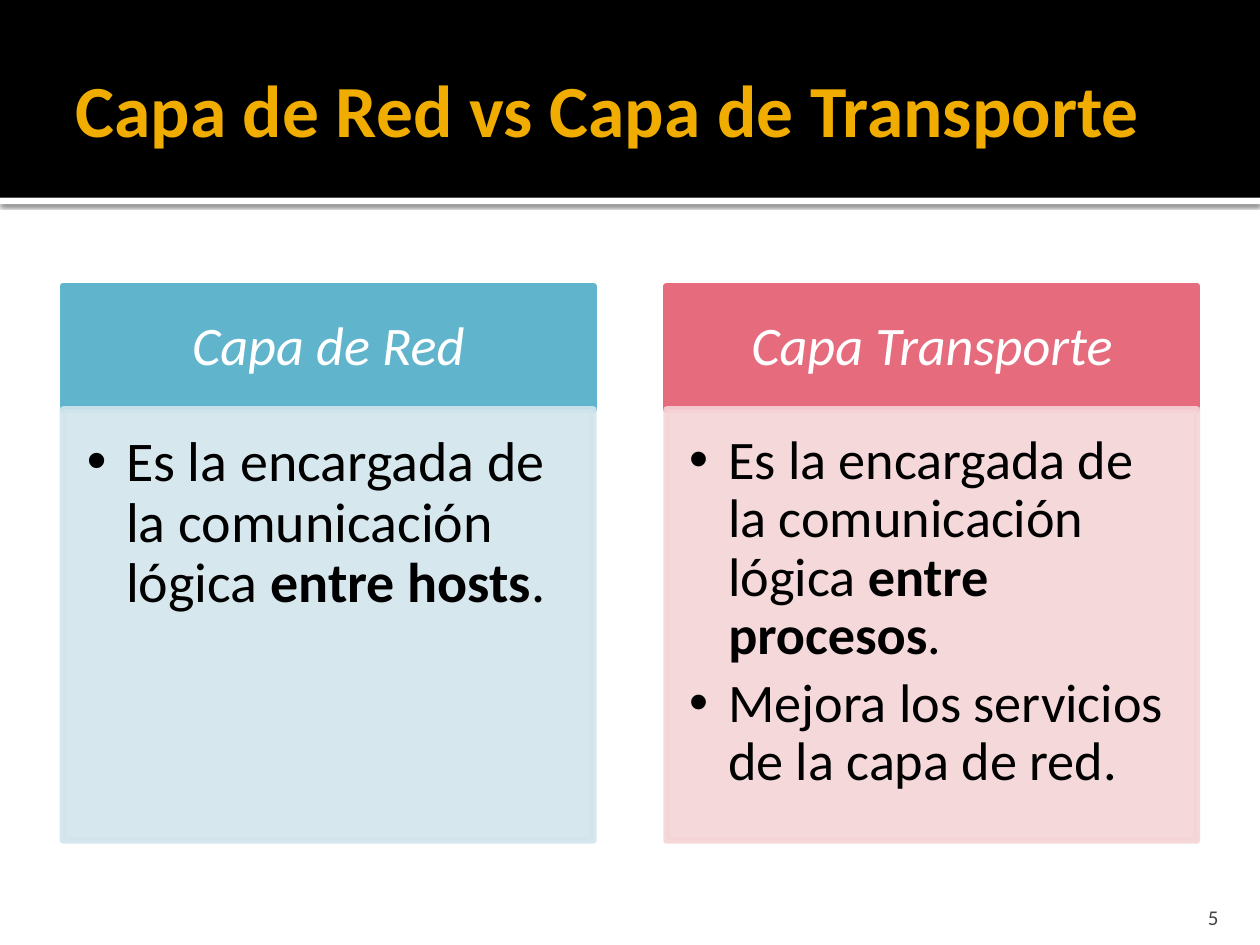
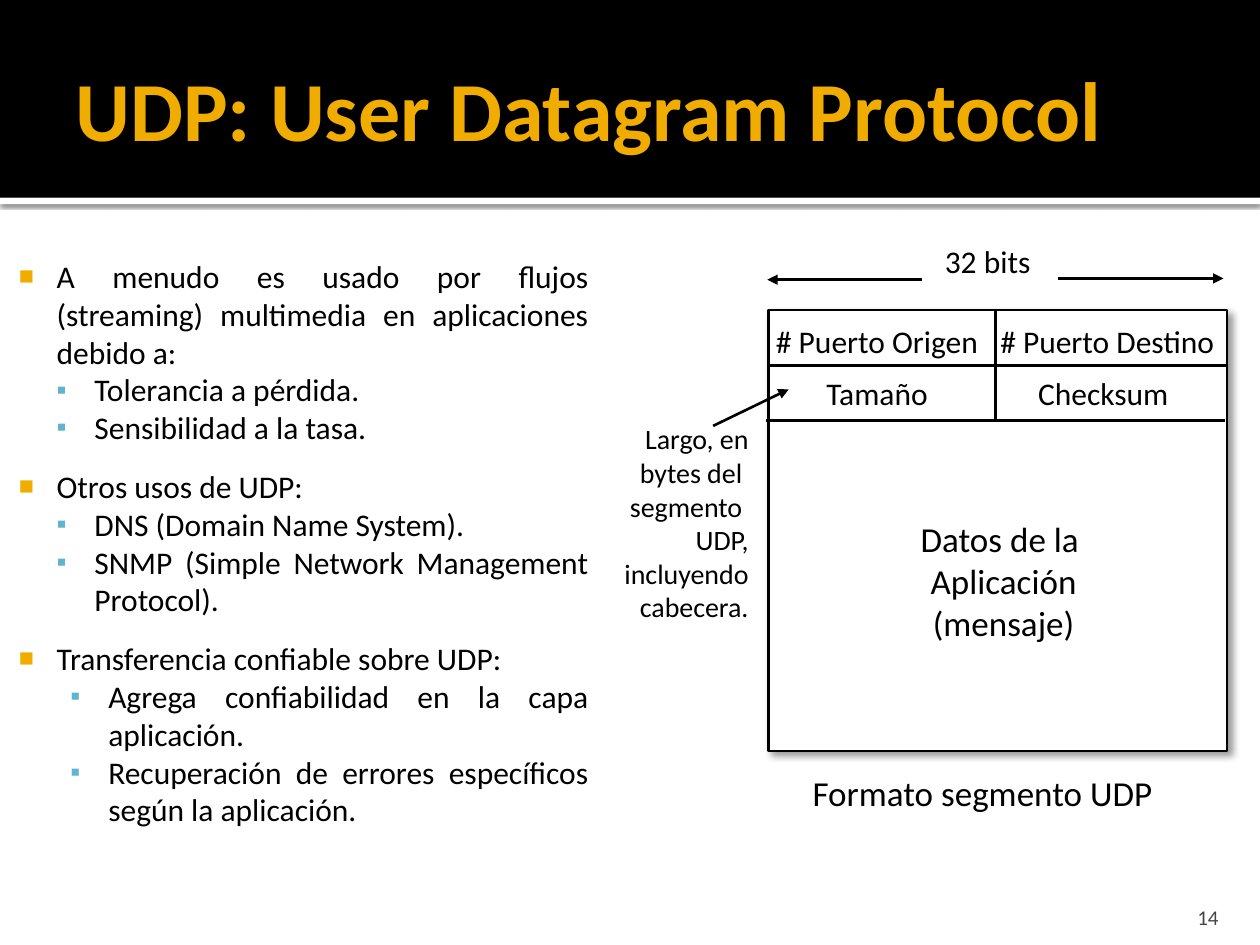
from lxml.etree import SubElement
from pptx import Presentation
from pptx.dml.color import RGBColor
from pptx.enum.shapes import MSO_CONNECTOR, MSO_SHAPE
from pptx.enum.text import MSO_ANCHOR, MSO_AUTO_SIZE, PP_ALIGN
from pptx.oxml.ns import qn
from pptx.util import Emu, Pt

# Shared style: 100 px to the inch
EMU_PER_PX = 9144
FONT = "Calibri"
BLACK, WHITE, GREY = "000000", "FFFFFF", "454545"
GOLD, BLUE, PINK = "F0AD00", "60B5CC", "E66C7D"
PALE_BLUE, PALE_PINK = "D2E5EC", "F5D4D7"
TITLE_ONLY = 5


def px(length):
    return Emu(length * EMU_PER_PX)


def color(hex_string):
    return RGBColor.from_string(hex_string)


def child(parent, tag, **attributes):
    return SubElement(parent, qn(tag), {key: str(value) for key, value in attributes.items()})


# Text
def set_frame(frame, insets=(10, 5, 10, 5), anchor=MSO_ANCHOR.TOP, wrap=True):
    frame.auto_size = MSO_AUTO_SIZE.NONE
    frame.word_wrap = wrap
    frame.vertical_anchor = anchor
    (frame.margin_left, frame.margin_top,
     frame.margin_right, frame.margin_bottom) = map(px, insets)


def style(paragraph, size, hex_color=BLACK, align=PP_ALIGN.LEFT, bold=False, italic=False):
    paragraph.alignment = align
    font = paragraph.font
    font.name, font.size, font.bold, font.italic = FONT, Pt(size), bold, italic
    font.color.rgb = color(hex_color)


def next_paragraph(frame, index):
    return frame.paragraphs[0] if index == 0 else frame.add_paragraph()


def add_bullet(paragraph, character, left, hanging, hex_color=BLACK, percent=100):
    properties = paragraph._p.get_or_add_pPr()
    properties.set("marL", str(px(left)))
    properties.set("indent", str(-px(hanging)))
    child(child(properties, "a:buClr"), "a:srgbClr", val=hex_color)
    child(properties, "a:buSzPct", val=percent * 1000)
    child(properties, "a:buFont", typeface="Arial")
    child(properties, "a:buChar", char=character)


def add_label(slide, box, lines, size, hex_color=BLACK, align=PP_ALIGN.LEFT, wrap=False,
              **frame_options):
    frame = slide.shapes.add_textbox(*map(px, box)).text_frame
    set_frame(frame, wrap=wrap, **frame_options)
    for index, line in enumerate(lines):
        paragraph = next_paragraph(frame, index)
        paragraph.text = line
        style(paragraph, size, hex_color, align)


# Shapes and lines
def add_rectangle(slide, box, fill, line=None, width=0):
    shape = slide.shapes.add_shape(MSO_SHAPE.RECTANGLE, *map(px, box))
    shape.shadow.inherit = False
    shape.fill.solid()
    shape.fill.fore_color.rgb = color(fill)
    if line:
        shape.line.color.rgb = color(line)
        shape.line.width = Pt(width)
    else:
        shape.line.fill.background()
    return shape


def add_shadow(shape, percent, blur, distance, degrees):
    effects = shape._element.spPr.find(qn("a:effectLst"))
    shadow = child(effects, "a:outerShdw", blurRad=Pt(blur), dist=Pt(distance),
                   dir=degrees * 60000, algn="tl", rotWithShape=0)
    child(child(shadow, "a:srgbClr", val=BLACK), "a:alpha", val=percent * 1000)


def set_opacity(shape, percent):
    for solid_color in shape._element.spPr.iter(qn("a:srgbClr")):
        child(solid_color, "a:alpha", val=percent * 1000)


def add_line(slide, start, end, arrow=False):
    connector = slide.shapes.add_connector(MSO_CONNECTOR.STRAIGHT, *map(px, start + end))
    connector.line.color.rgb = color(BLACK)
    connector.line.width = Pt(1.5)
    if arrow:
        child(connector.line._get_or_add_ln(), "a:tailEnd", type="triangle")
    child(connector._element.spPr, "a:effectLst")


# Slide with title band and number
def add_titled_slide(presentation, title_text, title_size, number):
    slide = presentation.slides.add_slide(presentation.slide_layouts[TITLE_ONLY])
    rule = add_rectangle(slide, (0, 157, 1000, 5), WHITE)
    add_shadow(rule, 60, 2.5, 0.8, 90)
    add_rectangle(slide, (0, 0, 1000, 157), BLACK)

    title = slide.shapes.title
    slide.shapes._spTree.append(title._element)  # bring above the band
    title.left, title.top, title.width, title.height = map(px, (50, 17, 900, 137))
    title.text = title_text
    set_frame(title.text_frame, (10, 5, 5, 5), MSO_ANCHOR.MIDDLE)
    style(title.text_frame.paragraphs[0], title_size, GOLD, bold=True)

    add_label(slide, (897, 708, 80, 30), [str(number)], 12, GREY, PP_ALIGN.RIGHT,
              wrap=True, insets=(10, 5, 10, 0), anchor=MSO_ANCHOR.BOTTOM)
    return slide


# Comparison column: heading over a bulleted panel
def add_column(slide, left, heading, accent, pale, size, insets, bullets):
    header = add_rectangle(slide, (left, 227, 421, 98), accent, accent, 3.78)
    set_frame(header.text_frame, (24, 14, 24, 14), MSO_ANCHOR.MIDDLE)
    paragraph = header.text_frame.paragraphs[0]
    paragraph.text = heading
    paragraph.line_spacing = 0.9
    style(paragraph, 31, WHITE, PP_ALIGN.CENTER, italic=True)

    panel = add_rectangle(slide, (left, 325, 421, 342), pale, pale, 3.78)
    set_opacity(panel, 90)
    set_frame(panel.text_frame, insets)
    for index, runs in enumerate(bullets):
        paragraph = next_paragraph(panel.text_frame, index)
        paragraph.line_spacing = 0.9
        paragraph.space_after = Pt(5)
        add_bullet(paragraph, "•", 31, 31)
        style(paragraph, size)
        for text, bold in runs:
            run = paragraph.add_run()
            run.text = text
            run.font.bold = bold


# Two-level justified list: (first-level text, sub-item indent, sub-items)
def add_outline(slide, box, groups):
    frame = slide.shapes.add_textbox(*map(px, box)).text_frame
    set_frame(frame, (6, 10, 10, 5))
    count = 0
    for topic, sub_indent, items in groups:
        for level, text in [(0, topic)] + [(1, item) for item in items]:
            paragraph = next_paragraph(frame, count)
            paragraph.text = text
            paragraph.level = level
            if level:
                add_bullet(paragraph, "▪", sub_indent, 30, BLUE, 90)
            else:
                paragraph.space_before = Pt(12 if count else 0)
                add_bullet(paragraph, "■", 39, 30, GOLD, 80)
            style(paragraph, 18, align=PP_ALIGN.JUSTIFY)
            count += 1


def add_udp_segment(slide):
    segment = add_rectangle(slide, (610, 246, 364, 350), WHITE, BLACK, 1.5)
    add_shadow(segment, 40, 4, 3, 45)

    # Header grid
    add_line(slide, (609, 290), (973, 290))
    add_line(slide, (608, 334), (972, 334))
    add_line(slide, (790, 334), (790, 246))
    fields = [
        ((606, 251, 189, 40), "# Puerto Origen"),
        ((784, 251, 199, 40), "# Puerto Destino"),
        ((646, 292, 105, 40), "Tamaño"),
        ((814, 292, 129, 40), "Checksum"),
    ]
    for box, name in fields:
        add_label(slide, box, [name], 18)

    # Width marker
    add_label(slide, (740, 187, 88, 50), ["32 bits"], 18, wrap=True)
    add_line(slide, (840, 221), (971, 221), arrow=True)
    add_line(slide, (732, 222), (609, 222), arrow=True)

    # Payload, caption and length note
    add_label(slide, (719, 406, 155, 111), ["Datos de la \vAplicación", "(mensaje)"], 20,
              align=PP_ALIGN.CENTER)
    add_label(slide, (635, 607, 301, 44), ["Formato segmento UDP"], 20)
    add_label(slide, (482, 330, 122, 172),
              ["Largo, en", "bytes del \vsegmento ", "UDP,", "incluyendo\vcabecera."], 16,
              align=PP_ALIGN.RIGHT)
    add_line(slide, (566, 338), (626, 309), arrow=True)


def main():
    presentation = Presentation()
    presentation.slide_width, presentation.slide_height = px(1000), px(750)

    # Network layer against transport layer
    slide = add_titled_slide(presentation, "Capa de Red vs Capa de Transporte", 42, 5)
    duty = "Es la encargada de la comunicación lógica "
    add_column(slide, 50, "Capa de Red", BLUE, PALE_BLUE, 32, (19, 19, 25, 28),
               [[(duty, False), ("entre hosts", True), (".", False)]])
    add_column(slide, 529, "Capa Transporte", PINK, PALE_PINK, 31, (18, 18, 24, 27),
               [[(duty, False), ("entre procesos", True), (".", False)],
                [("Mejora los servicios de la capa de red.", False)]])

    # UDP uses and segment format
    slide = add_titled_slide(presentation, "UDP: User Datagram Protocol", 48, 14)
    add_outline(slide, (0, 194, 477, 470), [
        ("A menudo es usado por flujos (streaming) multimedia en aplicaciones debido a:", 69,
         ["Tolerancia a pérdida.", "Sensibilidad a la tasa."]),
        ("Otros usos de UDP:", 69,
         ["DNS (Domain Name System).", "SNMP (Simple Network Management Protocol)."]),
        ("Transferencia confiable sobre UDP:", 80,
         ["Agrega confiabilidad en la capa aplicación.",
          "Recuperación de errores específicos según la aplicación."]),
    ])
    add_udp_segment(slide)

    presentation.save("out.pptx")


if __name__ == "__main__":
    main()
